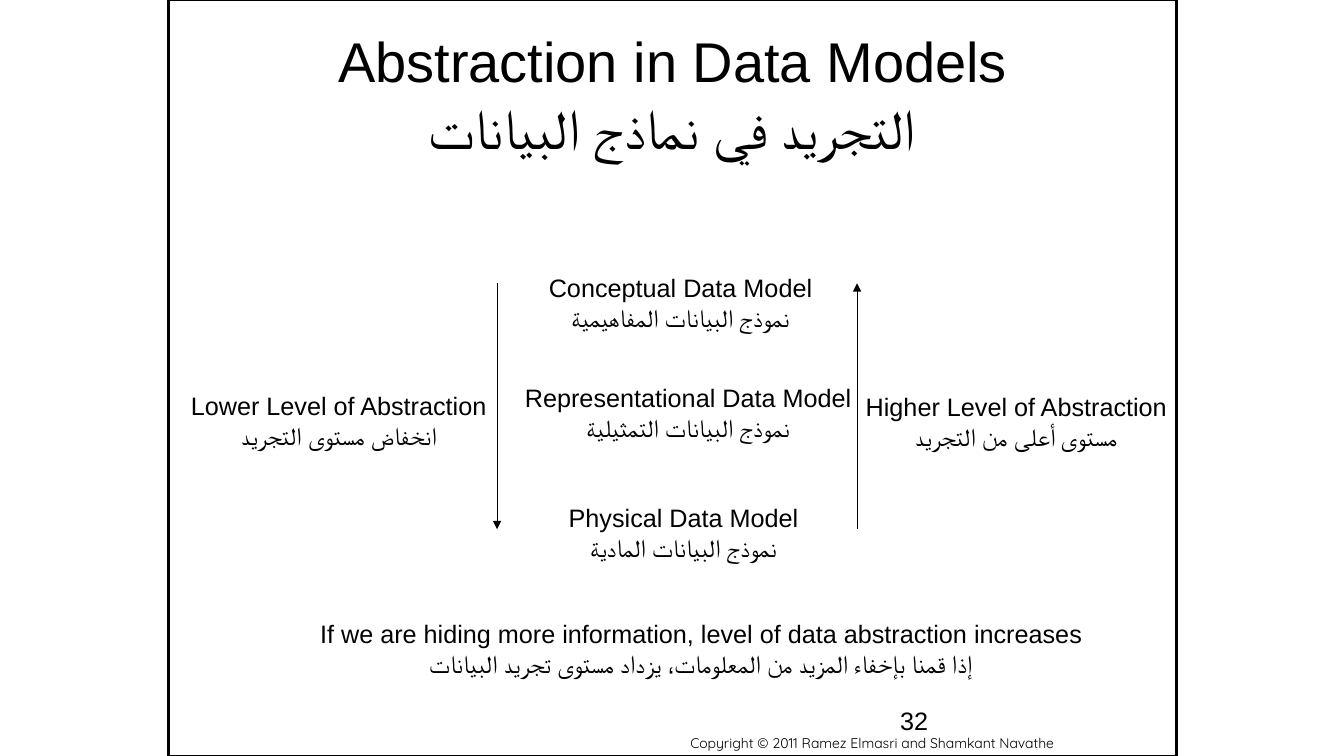
from dataclasses import dataclass

from lxml import etree
from pptx import Presentation
from pptx.dml.color import RGBColor
from pptx.enum.shapes import MSO_CONNECTOR, MSO_SHAPE
from pptx.enum.text import MSO_ANCHOR, MSO_AUTO_SIZE, PP_ALIGN
from pptx.oxml.ns import qn
from pptx.slide import Slide
from pptx.util import Inches, Pt

LEFT, CENTER, RIGHT = PP_ALIGN.LEFT, PP_ALIGN.CENTER, PP_ALIGN.RIGHT
TOP, MIDDLE, BOTTOM = MSO_ANCHOR.TOP, MSO_ANCHOR.MIDDLE, MSO_ANCHOR.BOTTOM
FIT = MSO_AUTO_SIZE.SHAPE_TO_FIT_TEXT
STRAIGHT, RECT = MSO_CONNECTOR.STRAIGHT, MSO_SHAPE.RECTANGLE
BLACK = "000000"
LABEL_H = 0.71
ARROW_TOP, ARROW_END = 2.81, 5.25


@dataclass
class Label:
    left: float
    top: float
    width: float
    lines: str
    height: float = LABEL_H
    size: int = 18
    font: str = "Arial"
    align: PP_ALIGN = CENTER
    anchor: MSO_ANCHOR = TOP
    wrap: bool = False
    inset: bool = True


@dataclass
class Arrow:
    x: float
    start: float
    end: float


LABELS = [
    Label(0.67, 0.3, 12, "Abstraction in Data Models\vالتجريد في نماذج البيانات",
          height=1.25, size=40, anchor=MIDDLE, wrap=True, inset=False),
    Label(5.33, 2.65, 2.84, "Conceptual Data Model\nنموذج البيانات المفاهيمية"),
    Label(5.09, 3.74, 3.47, "Representational Data Model\nنموذج البيانات التمثيلية"),
    Label(5.53, 4.93, 2.5, "Physical Data Model\nنموذج البيانات المادية"),
    Label(1.78, 3.82, 3.16, "Lower Level of Abstraction\nانخفاض مستوى التجريد"),
    Label(8.47, 3.83, 3.22, "Higher Level of Abstraction\nمستوى أعلى من التجريد"),
    Label(3.04, 6.08, 7.83,
          "If we are hiding more information, level of data abstraction increases\n"
          "إذا قمنا بإخفاء المزيد من المعلومات، يزداد مستوى تجريد البيانات"),
    Label(8.83, 6.95, 2.33, "32", height=0.4, align=LEFT, wrap=True),
    Label(1, 7.17, 9.55, "Copyright © 2011 Ramez Elmasri and Shamkant Navathe",
          height=0.33, size=10, font="Quicksand", align=RIGHT,
          anchor=BOTTOM, wrap=True),
]
ARROWS = [Arrow(4.93, ARROW_TOP, ARROW_END), Arrow(8.5, ARROW_END, ARROW_TOP)]


def color(code: str) -> RGBColor:
    return RGBColor.from_string(code)


def add_label(slide: Slide, label: Label) -> None:
    box = slide.shapes.add_textbox(Inches(label.left), Inches(label.top),
                                   Inches(label.width), Inches(label.height))
    frame = box.text_frame
    frame.text = label.lines
    frame.word_wrap = label.wrap
    frame.vertical_anchor = label.anchor
    if not label.wrap:
        frame.auto_size = FIT
    if not label.inset:
        frame.margin_left = frame.margin_right = 0
        frame.margin_top = frame.margin_bottom = 0
    for para in frame.paragraphs:
        para.alignment = label.align
        for run in para.runs:
            run.font.size = Pt(label.size)
            run.font.name = label.font
            run.font.color.rgb = color(BLACK)


def add_arrow(slide: Slide, arrow: Arrow) -> None:
    line = slide.shapes.add_connector(STRAIGHT, Inches(arrow.x), Inches(arrow.start),
                                      Inches(arrow.x), Inches(arrow.end))
    line.line.color.rgb = color(BLACK)
    line.line.width = Pt(0.75)
    props = line._element.spPr
    etree.SubElement(props.find(qn("a:ln")), qn("a:tailEnd"), type="triangle")
    etree.SubElement(props, qn("a:effectLst"))


def add_frame(slide: Slide) -> None:
    frame = slide.shapes.add_shape(RECT, Inches(1.67), 0, Inches(10), Inches(7.5))
    frame.shadow.inherit = False
    frame.fill.background()
    frame.line.color.rgb = color(BLACK)
    frame.line.width = Pt(2)


def main() -> None:
    deck = Presentation()
    deck.slide_width, deck.slide_height = Inches(13.33), Inches(7.5)
    slide = deck.slides.add_slide(deck.slide_layouts[6])
    for label in LABELS:
        add_label(slide, label)
    for arrow in ARROWS:
        add_arrow(slide, arrow)
    add_frame(slide)
    deck.save("out.pptx")


if __name__ == "__main__":
    main()
